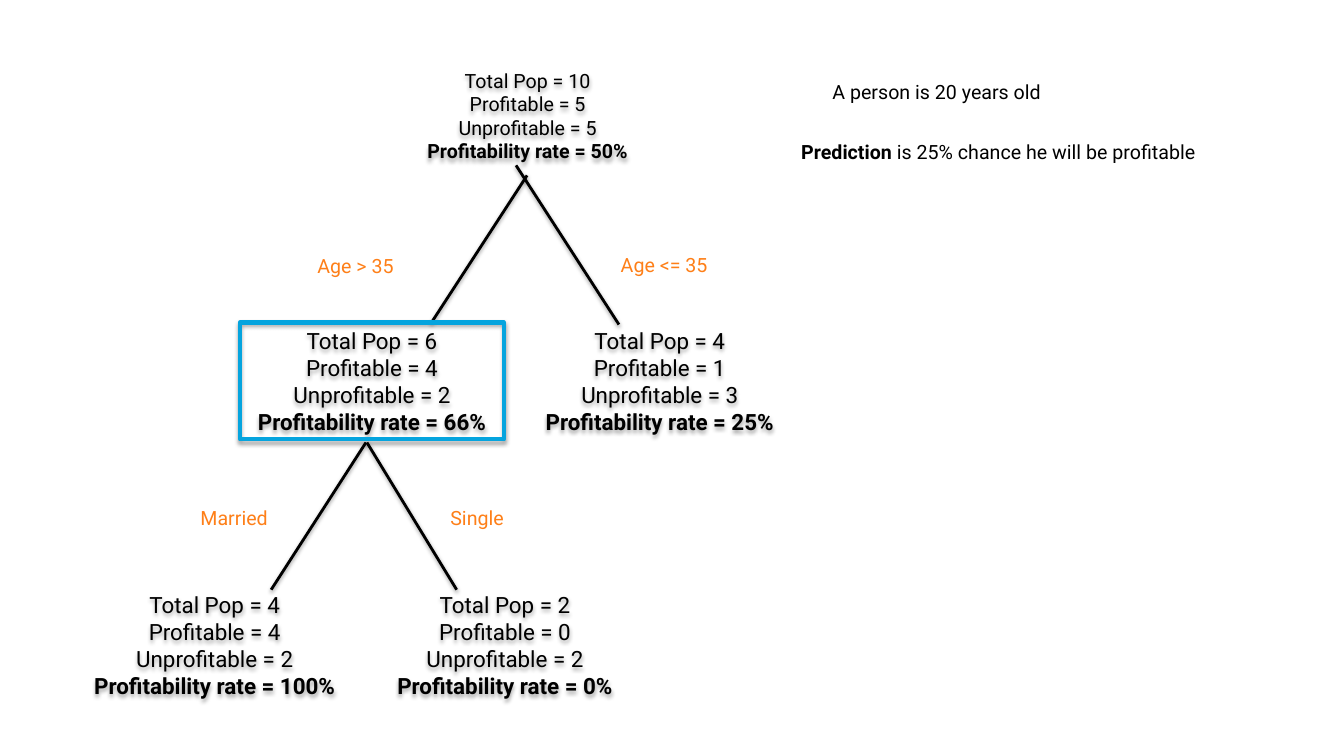
from typing import NamedTuple, Optional

from lxml.etree import SubElement
from pptx import Presentation
from pptx.dml.color import RGBColor
from pptx.enum.shapes import MSO_CONNECTOR, MSO_SHAPE
from pptx.enum.text import MSO_ANCHOR, PP_ALIGN
from pptx.oxml.ns import qn
from pptx.slide import Slide
from pptx.util import Pt

BLACK = RGBColor(0x00, 0x00, 0x00)
ORANGE = RGBColor(0xFE, 0x7F, 0x18)
BLUE = RGBColor(0x05, 0xA4, 0xDE)
FONT = "Roboto"
LEVEL_TOPS = (37.4, 230.4, 419)
NODE_HEIGHT = 83.5


class Node(NamedTuple):
    left: float
    top: float
    width: float
    population: int
    profitable: int
    unprofitable: int
    rate: int
    height: float = NODE_HEIGHT
    size: int = 16
    outline: Optional[RGBColor] = None


class Branch(NamedTuple):
    x1: float
    y1: float
    x2: float
    y2: float


class Caption(NamedTuple):
    left: float
    top: float
    width: float
    text: str
    color: RGBColor = ORANGE
    bold_lead: str = ""


NODES = (
    Node(263.5, LEVEL_TOPS[0], 226.8, 10, 5, 5, 50, height=90.7, size=14),
    Node(171.4, LEVEL_TOPS[1], 188.6, 6, 4, 2, 66, outline=BLUE),
    Node(377.3, LEVEL_TOPS[1], 188.0, 4, 1, 3, 25),
    Node(54.0, LEVEL_TOPS[2], 198.7, 4, 4, 2, 100),
    Node(266.4, LEVEL_TOPS[2], 188.6, 2, 0, 2, 0),
)
BRANCHES = (
    Branch(376.5, 125.3, 308.2, 230.4),
    Branch(368.6, 118.1, 442.1, 231.8),
    Branch(261.4, 316.1, 193.7, 421.2),
    Branch(262.1, 316.1, 326.2, 421.2),
)
CAPTIONS = (
    Caption(219.6, 177.8, 87.8, "Age > 35"),
    Caption(436.3, 177.1, 99.4, "Age <= 35"),
    Caption(136.1, 357.8, 87.8, "Married"),
    Caption(314.6, 357.8, 87.8, "Single"),
    Caption(587.5, 53.3, 347.8, "A person is 20 years old", BLACK),
    Caption(565.2, 96.5, 370, " is 25% chance he will be profitable", BLACK, "Prediction"),
)


def add_shadow(properties, distance: float, opacity: int) -> None:
    """Give shape properties a soft black shadow that falls straight down."""
    for old in properties.findall(qn("a:effectLst")):
        properties.remove(old)
    effects = SubElement(properties, qn("a:effectLst"))
    shadow = SubElement(effects, qn("a:outerShdw"), blurRad=str(Pt(3.1)),
                        dist=str(Pt(distance)), dir="5400000", rotWithShape="0")
    color = SubElement(shadow, qn("a:srgbClr"), val=str(BLACK))
    SubElement(color, qn("a:alpha"), val=str(opacity * 1000))


def draw_branch(slide: Slide, branch: Branch) -> None:
    line = slide.shapes.add_connector(MSO_CONNECTOR.STRAIGHT, *map(Pt, branch))
    line.line.color.rgb = BLACK
    line.line.width = Pt(2)
    add_shadow(line._element.spPr, 1.6, 38)


def draw_node(slide: Slide, node: Node) -> None:
    box = slide.shapes.add_shape(MSO_SHAPE.RECTANGLE, Pt(node.left), Pt(node.top),
                                 Pt(node.width), Pt(node.height))
    box.fill.background()
    if node.outline is None:
        box.line.fill.background()
    else:
        box.line.color.rgb = node.outline
        box.line.width = Pt(3)
    add_shadow(box._element.spPr, 1.8, 35)

    frame = box.text_frame
    frame.word_wrap = True
    frame.vertical_anchor = MSO_ANCHOR.MIDDLE
    frame.text = "\n".join((
        f"Total Pop = {node.population}",
        f"Profitable = {node.profitable}",
        f"Unprofitable = {node.unprofitable}",
        f"Profitability rate = {node.rate}%",
    ))
    for paragraph in frame.paragraphs:
        paragraph.alignment = PP_ALIGN.CENTER
        paragraph.font.name = FONT
        paragraph.font.size = Pt(node.size)
        paragraph.font.color.rgb = BLACK
    frame.paragraphs[-1].font.bold = True


def draw_caption(slide: Slide, caption: Caption) -> None:
    box = slide.shapes.add_textbox(Pt(caption.left), Pt(caption.top),
                                   Pt(caption.width), Pt(24.5))
    box.text_frame.word_wrap = True
    paragraph = box.text_frame.paragraphs[0]
    paragraph.font.name = FONT
    paragraph.font.size = Pt(14)
    paragraph.font.color.rgb = caption.color
    if caption.bold_lead:
        lead = paragraph.add_run()
        lead.text = caption.bold_lead
        lead.font.bold = True
    paragraph.add_run().text = caption.text


presentation = Presentation()
presentation.slide_width = Pt(960)
presentation.slide_height = Pt(540)
tree_slide = presentation.slides.add_slide(presentation.slide_layouts[6])

# Branches lie behind the nodes
for tree_branch in BRANCHES:
    draw_branch(tree_slide, tree_branch)

# Population splits
for tree_node in NODES:
    draw_node(tree_slide, tree_node)

# Split conditions and the example prediction
for tree_caption in CAPTIONS:
    draw_caption(tree_slide, tree_caption)

presentation.save("out.pptx")
